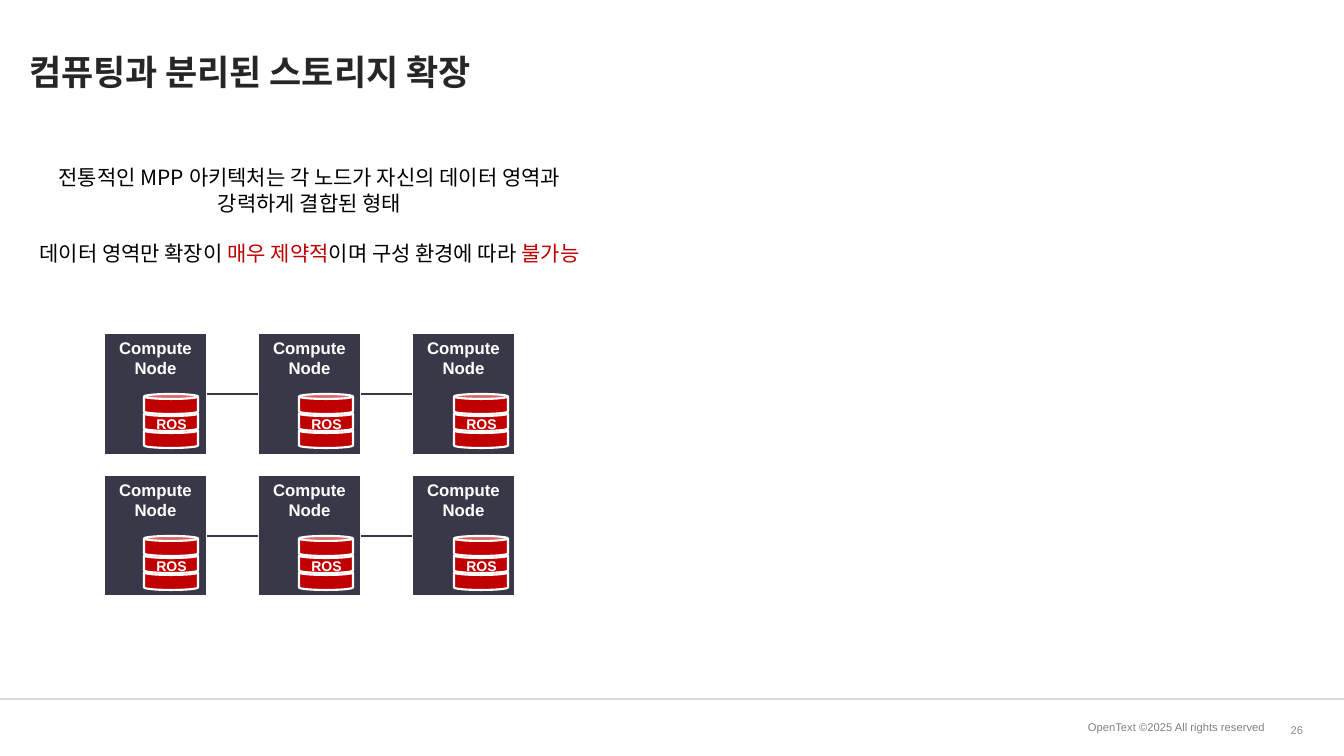
from lxml import etree
from pptx import Presentation
from pptx.dml.color import RGBColor
from pptx.enum.shapes import MSO_CONNECTOR, MSO_SHAPE
from pptx.enum.text import MSO_ANCHOR, PP_ALIGN
from pptx.oxml.ns import qn
from pptx.util import Pt

PX = 914400 / 100.8

RECTANGLE, CAN = MSO_SHAPE.RECTANGLE, MSO_SHAPE.CAN
STRAIGHT = MSO_CONNECTOR.STRAIGHT
LEFT, CENTER, RIGHT = PP_ALIGN.LEFT, PP_ALIGN.CENTER, PP_ALIGN.RIGHT
TOP, MIDDLE = MSO_ANCHOR.TOP, MSO_ANCHOR.MIDDLE

WHITE = RGBColor(0xFF, 0xFF, 0xFF)
BLACK = RGBColor(0, 0, 0)
INK = RGBColor(0x26, 0x26, 0x26)
NAVY = RGBColor(0x38, 0x38, 0x48)
RED = RGBColor(0xC0, 0, 0)
GRAY = RGBColor(0x80, 0x80, 0x80)
PALE_GRAY = RGBColor(0x8C, 0x8C, 0x8C)
RULE_GRAY = RGBColor(0xD9, 0xD9, 0xD9)
KOREAN = "Noto Sans CJK KR"


def px(*lengths):
    return [round(length * PX) for length in lengths]


def write(shape, *paragraphs, size, color, font="Arial", bold=False, align=LEFT,
          anchor=TOP, wrap=True, line_spacing=None, gap=0):
    """Fill a shape with paragraphs, each a list of (text, color or None) spans."""
    frame = shape.text_frame
    frame.word_wrap = wrap
    frame.vertical_anchor = anchor
    for index, spans in enumerate(paragraphs):
        para = frame.paragraphs[0] if index == 0 else frame.add_paragraph()
        para.alignment = align
        para.line_spacing = line_spacing
        if index:
            para.space_before = Pt(gap)
        for line_index, (text, span_color) in enumerate(spans):
            for part_index, part in enumerate(text.split("\n")):
                if part_index:
                    para.add_line_break()
                span = para.add_run()
                span.text = part
                span.font.name = font
                span.font.size = Pt(size)
                span.font.bold = bold
                span.font.color.rgb = span_color or color
                east_asian = etree.SubElement(span.font._element, qn("a:ea"))
                east_asian.set("typeface", KOREAN)


deck = Presentation()
deck.slide_width, deck.slide_height = px(1344, 756)
page = deck.slides.add_slide(deck.slide_layouts[5])
shapes = page.shapes

# Footer
write(shapes.add_textbox(*px(822, 715, 453, 29)),
      [("OpenText ©2025 All rights reserved", None)], size=8, color=GRAY, align=RIGHT)
write(shapes.add_textbox(*px(1275, 715, 38, 29)),
      [("26", None)], size=8, color=PALE_GRAY, align=RIGHT, anchor=MIDDLE)
footer_rule = shapes.add_connector(STRAIGHT, *px(0, 699, 1344, 699))
footer_rule.line.color.rgb = RULE_GRAY
footer_rule.line.width = Pt(1)
connectors = [footer_rule]

# Title and message
title = shapes.title
title.left, title.top, title.width, title.height = px(29, 17, 1284, 107)
frame = title.text_frame
frame.margin_left, frame.margin_top, frame.margin_right, frame.margin_bottom = px(0, 8, 10, 5)
write(title, [("컴퓨팅과 분리된 스토리지 확장", None)],
      size=25, color=INK, font="Calibri", bold=True, anchor=MIDDLE)

write(shapes.add_textbox(*px(15, 159, 589, 112)),
      [("전통적인 MPP 아키텍처는 각 노드가 자신의 데이터 영역과 강력하게 결합된 형태", None)],
      [("데이터 영역만 확장이 ", None), ("매우 제약적", RED),
       ("이며 구성 환경에 따라 ", None), ("불가능", RED)],
      size=15, color=BLACK, font=KOREAN, align=CENTER, line_spacing=Pt(18.3), gap=18)

# Two rows of linked compute nodes, each with its own storage
for row in range(2):
    row_top = 333 + 142 * row
    nodes = []
    for column in range(3):
        node = shapes.add_shape(RECTANGLE, *px(104 + 154 * column, row_top, 103, 122))
        node.shadow.inherit = False
        node.fill.solid()
        node.fill.fore_color.rgb = NAVY
        node.line.color.rgb = WHITE
        node.line.width = Pt(2)
        write(node, [("Compute\nNode", None)], size=12, color=WHITE, bold=True, align=CENTER)
        nodes.append(node)

    for left_node, right_node in zip(nodes, nodes[1:]):
        link = shapes.add_connector(STRAIGHT, 0, 0, 0, 0)
        link.begin_connect(left_node, 3)
        link.end_connect(right_node, 1)
        link.line.color.rgb = NAVY
        link.line.width = Pt(2)
        connectors.append(link)

    for column in range(3):
        storage_left, storage_top = 144 + 155 * column, row_top + 61
        storage = shapes.add_group_shape()
        for level in (2, 1, 0):
            disk = storage.shapes.add_shape(
                CAN, *px(storage_left, storage_top + 17 * level, 54, 20))
            disk.shadow.inherit = False
            disk.fill.solid()
            disk.fill.fore_color.rgb = RED
            disk.line.color.rgb = WHITE
            disk.line.width = Pt(1.5)
        write(shapes.add_textbox(*px(storage_left + 2, storage_top + 17, 51, 27)),
              [("ROS", None)], size=10, color=WHITE, bold=True, align=CENTER, wrap=False)

for connector in connectors:
    etree.SubElement(connector._element.spPr, qn("a:effectLst"))

deck.save("out.pptx")
